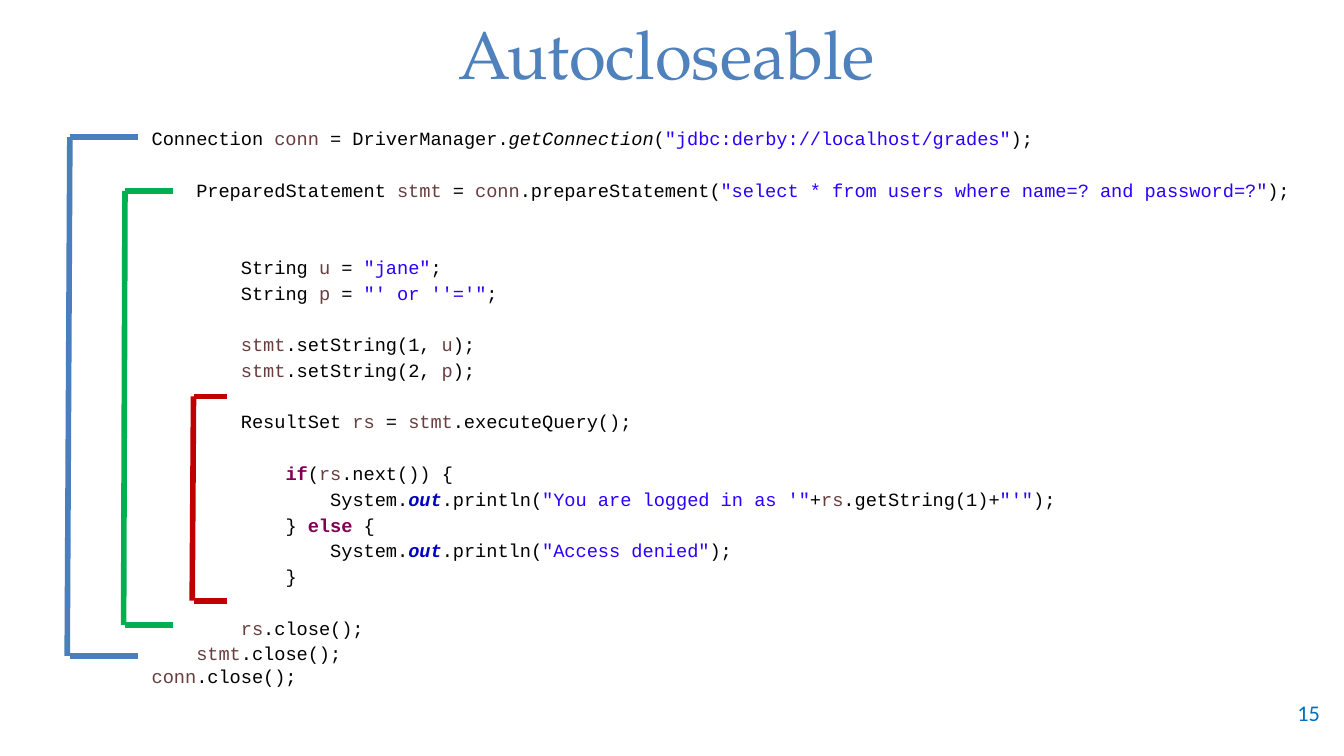
from lxml import etree
from pptx import Presentation
from pptx.dml.color import RGBColor
from pptx.enum.shapes import MSO_CONNECTOR
from pptx.enum.text import MSO_ANCHOR, PP_ALIGN
from pptx.oxml.ns import qn
from pptx.util import Inches, Pt

STRAIGHT = MSO_CONNECTOR.STRAIGHT
TOP, MIDDLE = MSO_ANCHOR.TOP, MSO_ANCHOR.MIDDLE
LEFT, CENTER, RIGHT = PP_ALIGN.LEFT, PP_ALIGN.CENTER, PP_ALIGN.RIGHT

COLORS = {
    "title": "4F81BD", "number": "0070C0", "plain": "000000",
    "variable": "6A3E3E", "string": "2A00FF", "keyword": "7F0055",
    "field": "0000C0", "connection": "4B7EBC", "statement": "00B050",
    "result": "C00000",
}

# Content: code lines as (text, style) runs; None counts as an empty row
def plain(text): return text, {"color": "plain"}
def var(text): return text, {"color": "variable"}
def string(text): return text, {"color": "string"}
def method(text): return text, {"color": "plain", "italic": True}
def keyword(text): return text, {"color": "keyword", "bold": True}
def field(text): return text, {"color": "field", "bold": True, "italic": True}


CODE = [
    [plain("Connection "), var("conn"), plain(" = DriverManager."),
     method("getConnection"), plain("("),
     string('"jdbc:derby://localhost/grades"'), plain(");")],
    None,
    [plain("    PreparedStatement "), var("stmt"), plain(" = "), var("conn"),
     plain(".prepareStatement("),
     string('"select * from users where name=? and password=?"'), plain(");")],
    None,
    None,
    [plain("        String "), var("u"), plain(" = "), string('"jane"'), plain(";")],
    [plain("        String "), var("p"), plain(" = "), string("\"' or ''='\""), plain(";")],
    None,
    [var("        stmt"), plain(".setString(1, "), var("u"), plain(");")],
    [var("        stmt"), plain(".setString(2, "), var("p"), plain(");")],
    None,
    [plain("        ResultSet "), var("rs"), plain(" = "), var("stmt"),
     plain(".executeQuery();")],
    None,
    [keyword("            if"), plain("("), var("rs"), plain(".next()) {")],
    [plain("                System."), field("out"), plain(".println("),
     string("\"You are logged in as '\""), plain("+"), var("rs"),
     plain(".getString(1)+"), string("\"'\""), plain(");")],
    [plain("            } "), keyword("else"), plain(" {")],
    [plain("                System."), field("out"), plain(".println("),
     string('"Access denied"'), plain(");")],
    [plain("            }")],
    None,
    [var("        rs"), plain(".close();")],
    [var("    stmt"), plain(".close();")],
    [var("conn"), plain(".close();")],
]
ROW, LAST_ROW = 13.8, 12  # points

# Scope brackets: colour, left, right, top, bottom, lean of the spine
BRACKETS = [
    ("connection", 0.52, 1.03, 1.02, 4.88, 0.02),
    ("statement", 0.93, 1.29, 1.42, 4.65, 0.01),
    ("result", 1.44, 1.69, 2.95, 4.47, 0.01),
]


def rgb(name):
    return RGBColor.from_string(COLORS[name])


def add_text(slide, box, lines, font, size, align=LEFT, anchor=TOP, row=None, last_row=None):
    """Add a text box; empty lines become space before the next paragraph."""
    tf = slide.shapes.add_textbox(*map(Inches, box)).text_frame
    tf.word_wrap = True
    tf.vertical_anchor = anchor
    p, gap = None, 0
    for runs in lines:
        if runs is None:
            gap += row
            continue
        p = tf.add_paragraph() if p else tf.paragraphs[0]
        p.alignment = align
        if row:
            p.line_spacing = Pt(row)
        if gap:
            p.space_before = Pt(gap)
        gap = 0
        for text, style in runs:
            r = p.add_run()
            r.text = text
            r.font.name, r.font.size = font, Pt(size)
            r.font.color.rgb = rgb(style["color"])
            r.font.bold = style.get("bold", False)
            r.font.italic = style.get("italic", False)
    if last_row:
        p.line_spacing = Pt(last_row)


def add_bracket(slide, color, left, right, top, bottom, lean):
    group = slide.shapes.add_group_shape()
    for ends in [(left, top, right, top),
                 (left, top, left - lean, bottom),
                 (left, bottom, right, bottom)]:
        line = group.shapes.add_connector(STRAIGHT, *map(Inches, ends))
        line.line.color.rgb = rgb(color)
        line.line.width = Pt(3)
        etree.SubElement(line._element.spPr, qn("a:effectLst"))


# Widescreen 16:9 page
prs = Presentation()
prs.slide_width = Inches(10)
prs.slide_height = prs.slide_width * 9 // 16
slide = prs.slides.add_slide(prs.slide_layouts[6])

# Title and slide number
add_text(slide, (0, 0.06, 9.92, 0.67), [[("Autocloseable", {"color": "title"})]],
         "TeX Gyre Pagella", 36, align=CENTER, anchor=MIDDLE)
add_text(slide, (9.25, 5.15, 0.67, 0.3), [[("15", {"color": "number"})]],
         "Calibri", 12, align=RIGHT, anchor=MIDDLE)

# Code listing
add_text(slide, (1.03, 0.87, 8.89, 4.14), CODE, "Courier New", 10,
         row=ROW, last_row=LAST_ROW)

# Brackets that pair each open with its close
for bracket in BRACKETS:
    add_bracket(slide, *bracket)

prs.save("out.pptx")
